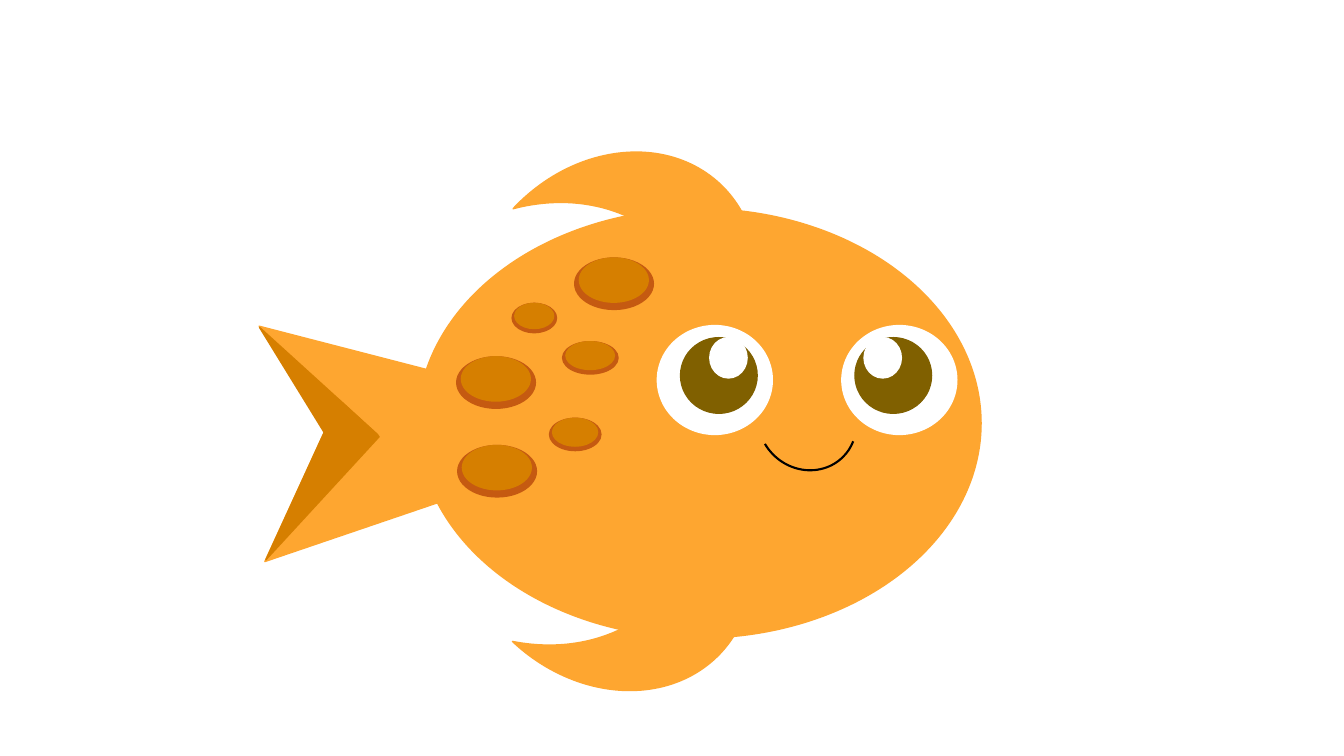
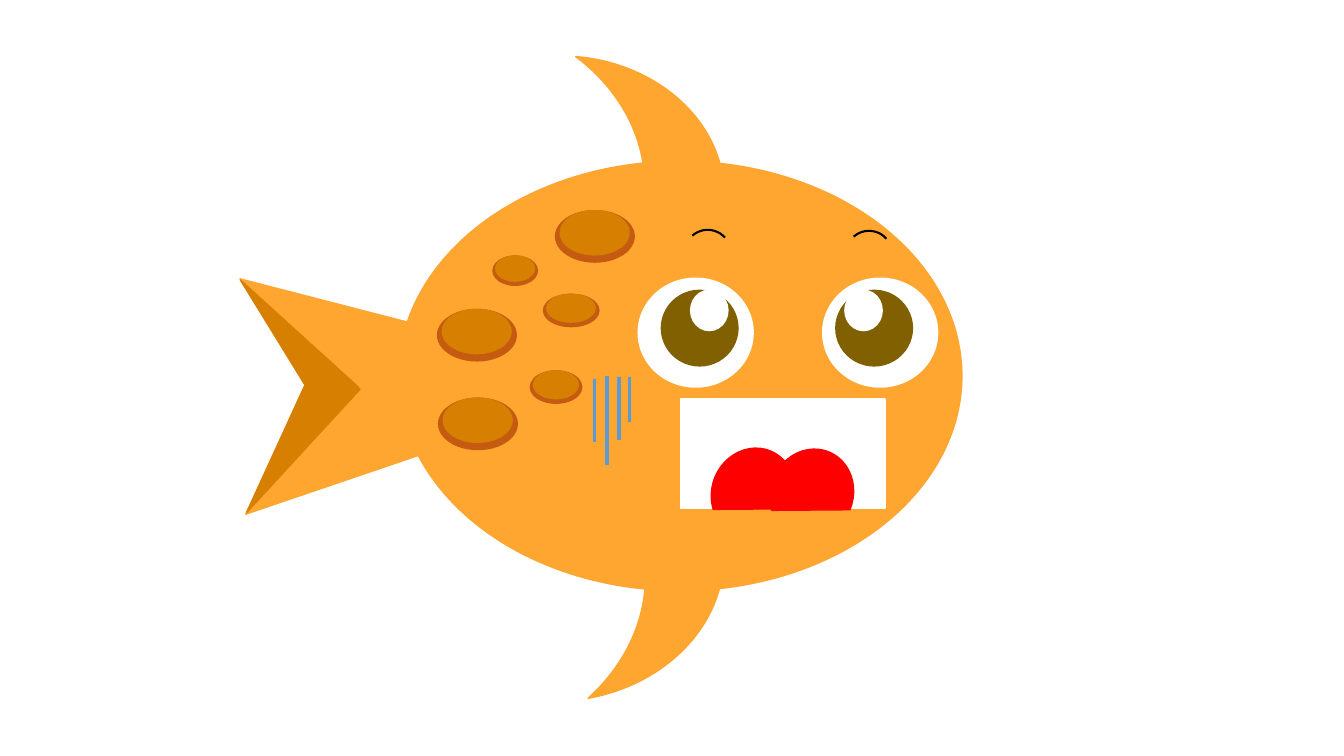
"""Draw a smiling fish and a shouting fish, one on each slide."""
import pptx
import pptx.dml.color
import pptx.enum.shapes
import pptx.oxml
import pptx.oxml.ns
import pptx.util

Inches = pptx.util.Inches
PRESET = pptx.enum.shapes.MSO_SHAPE

COLORS = {
    "skin": "FEA630",
    "shade": "D67F00",
    "rim": "C55A11",
    "white": "FFFFFF",
    "iris": "806000",
    "ink": "000000",
    "tongue": "FF0000",
    "sweat": "5B9BD5",
}

BODY_SIZE = (5.59, 4.26)
FIN_SIZE = (1.58, 2.66)
TAIL_SIZE = (1.67, 1.76)
EYE_SIZE = (1.14, 1.08)
IRIS_SIZE = (0.76, 0.75)
GLINT_SIZE = (0.37, 0.4)
TONGUE_SIZE = (0.9, 0.82)
BROW_SIZE = (0.46, 0.46)

TAIL_PARTS = [(-1.23, 0.59, 328), (-1.2, 2.23, 114.7), (0.04, 1.28, 35.8)]
TAIL_SHADES = [
    (-1.41, 1.86, 0.54, 1.66, 222.6),
    (-1.2, 0.95, 0.44, 1.52, 328.4),
]
EYES = [(2.38, 0.23, 0.52), (4.21, 0.13, 0.22)]
SPOTS = [
    (0.39, 1.47, 0.78, 0.51),
    (1.31, 2.08, 0.51, 0.32),
    (0.4, 2.35, 0.78, 0.51),
    (1.44, 1.32, 0.55, 0.32),
    (1.56, 0.49, 0.78, 0.51),
    (0.94, 0.94, 0.44, 0.29),
]


def rgb(color):
    return pptx.dml.color.RGBColor.from_string(COLORS[color])


def add_outline(parent, preset, left, top, size, rotation):
    part = parent.shapes.add_shape(
        preset, Inches(left), Inches(top), Inches(size[0]), Inches(size[1])
    )
    part.rotation = rotation
    part.shadow.inherit = False
    return part


def add_solid(parent, preset, left, top, size, color, rotation=0):
    part = add_outline(parent, preset, left, top, size, rotation)
    part.fill.solid()
    part.fill.fore_color.rgb = rgb(color)
    part.line.color.rgb = rgb(color)
    part.line.width = pptx.util.Pt(1)


def add_arc(parent, left, top, size, rotation, angles=()):
    curve = add_outline(parent, PRESET.ARC, left, top, size, rotation)
    for index, angle in enumerate(angles):
        curve.adjustments[index] = angle
    curve.fill.background()
    curve.line.color.rgb = rgb("ink")
    curve.line.width = pptx.util.Pt(1.5)


def add_sweat_line(parent, x, top, bottom):
    streak = parent.shapes.add_connector(
        pptx.enum.shapes.MSO_CONNECTOR.STRAIGHT,
        Inches(x), Inches(top), Inches(x), Inches(bottom),
    )
    streak.line.color.rgb = rgb("sweat")
    streak.line.width = pptx.util.Pt(2.25)
    properties = streak._element.spPr
    properties.append(
        pptx.oxml.parse_xml("<a:effectLst %s/>" % pptx.oxml.ns.nsdecls("a"))
    )


def add_tail(fish, x, y):
    for dx, dy, rotation in TAIL_PARTS:
        add_solid(fish, PRESET.RIGHT_TRIANGLE, x + dx, y + dy, TAIL_SIZE, "skin", rotation)
    for dx, dy, width, height, rotation in TAIL_SHADES:
        add_solid(
            fish, PRESET.RIGHT_TRIANGLE, x + dx, y + dy, (width, height), "shade", rotation
        )


def add_eye(fish, left, top, iris_dx, glint_dx):
    inner_top = top + 0.12
    add_solid(fish, PRESET.OVAL, left, top, EYE_SIZE, "white")
    add_solid(fish, PRESET.OVAL, left + iris_dx, inner_top, IRIS_SIZE, "iris")
    add_solid(fish, PRESET.OVAL, left + glint_dx, inner_top, GLINT_SIZE, "white")


def add_spot(fish, left, top, width, height):
    center_size = (0.875 * width, 0.86 * height)
    add_solid(fish, PRESET.OVAL, left, top, (width, height), "rim")
    add_solid(fish, PRESET.OVAL, left + 0.06 * width, top, center_size, "shade")


def add_fish(deck, x, y, fins):
    slide = deck.slides.add_slide(deck.slide_layouts[6])
    fish = slide.shapes.add_group_shape()
    add_solid(fish, PRESET.OVAL, x, y, BODY_SIZE, "skin")
    for left, top, rotation in fins:
        add_solid(fish, PRESET.MOON, left, top, FIN_SIZE, "skin", rotation)
    add_tail(fish, x, y)
    for dx, iris_dx, glint_dx in EYES:
        add_eye(fish, x + dx, y + 1.16, iris_dx, glint_dx)
    for dx, dy, width, height in SPOTS:
        add_spot(fish, x + dx, y + dy, width, height)
    return fish


def add_smiling_fish(deck):
    fish = add_fish(deck, 4.14, 2.07, [(5.81, 1.07, 133), (5.78, 4.61, 223.4)])
    add_arc(fish, 7.53, 3.67, (0.95, 1.01), 136.1, (148.716, 9.139))


def add_shouting_fish(deck):
    fish = add_fish(deck, 3.95, 1.6, [(5.6, 0.62, 184.6), (5.59, 4.15, 170)])
    add_solid(fish, PRESET.RECTANGLE, 6.75, 3.96, (2.03, 1.08), "white")
    for left, top in [(7.02, 4.48), (7.6, 4.49)]:
        add_solid(fish, PRESET.CHORD, left, top, TONGUE_SIZE, "tongue", 112.6)
    for left, top in [(6.79, 2.28), (8.39, 2.29)]:
        add_arc(fish, left, top, BROW_SIZE, 318.5)
    for x, top, bottom in [
        (5.9, 3.76, 4.39), (6.02, 3.73, 4.61), (6.14, 3.74, 4.37), (6.24, 3.74, 4.19)
    ]:
        add_sweat_line(fish, x, top, bottom)


def main():
    deck = pptx.Presentation()
    deck.slide_width = Inches(13.33)
    deck.slide_height = Inches(7.5)
    add_smiling_fish(deck)
    add_shouting_fish(deck)
    deck.save("out.pptx")


main()
